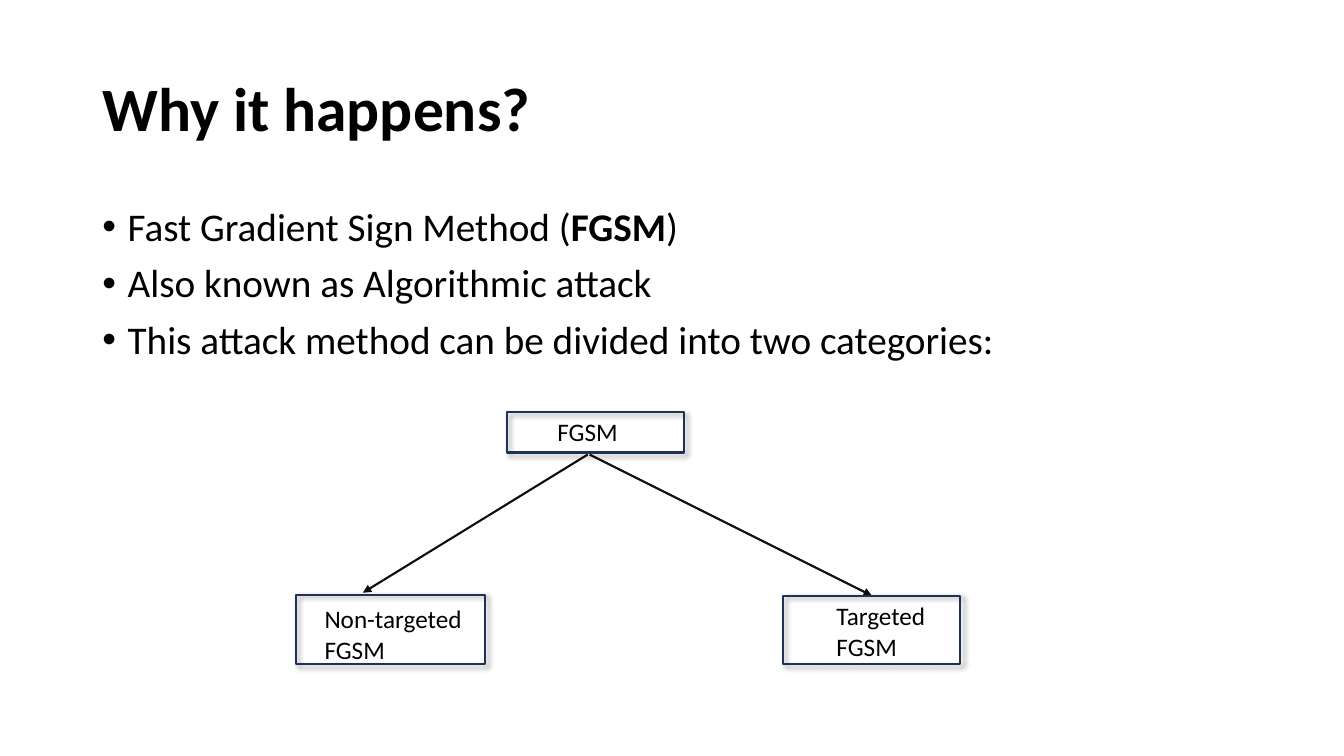
from dataclasses import dataclass

from lxml import etree
from pptx import Presentation
from pptx.dml.color import RGBColor
from pptx.enum.shapes import MSO_CONNECTOR, MSO_SHAPE
from pptx.enum.text import MSO_ANCHOR, MSO_AUTO_SIZE, PP_ALIGN
from pptx.oxml.ns import qn
from pptx.util import Pt

LEFT = PP_ALIGN.LEFT
TOP, MIDDLE = MSO_ANCHOR.TOP, MSO_ANCHOR.MIDDLE
NO_FIT, GROW = MSO_AUTO_SIZE.NONE, MSO_AUTO_SIZE.SHAPE_TO_FIT_TEXT
RECT, STRAIGHT = MSO_SHAPE.RECTANGLE, MSO_CONNECTOR.STRAIGHT


@dataclass(frozen=True)
class Theme:
    font: str = "Calibri"
    ink: RGBColor = RGBColor(0, 0, 0)
    arrow: RGBColor = RGBColor(0x0D, 0x0D, 0x0D)
    frame: RGBColor = RGBColor(0x1E, 0x32, 0x56)
    shade: str = "000000"
    title: int = 44
    body: int = 28
    label: int = 18
    line: float = 1.5


THEME = Theme()

POINTS = [
    [("Fast Gradient Sign Method (", False), ("FGSM", True), (")", False)],
    [("Also known as Algorithmic attack", False)],
    [("This attack method can be divided into two categories:", False)],
]

# Frame box, label text, label offset inside the frame, label width
ROOT = ((362, 294.5, 126.7, 28.8), "FGSM", (29, -0.7), 70)
KINDS = [
    ((211.7, 424.8, 134.6, 49.7), "Non-targeted FGSM", (13, 2.9), 114.5),
    ((559.4, 425.5, 126.7, 49), "Targeted FGSM", (31, 0), 114.5),
]
# Start and end of each arrow
LINKS = [((419.8, 324.7), (259.2, 423.4)), ((421.2, 324.7), (622.8, 425.5))]


def place(shape, box):
    shape.left, shape.top, shape.width, shape.height = map(Pt, box)


def write(para, text, size, bold=False):
    run = para.add_run()
    run.text = text
    font = run.font
    font.name, font.size, font.bold = THEME.font, Pt(size), bold
    font.color.rgb = THEME.ink


def add_title(slide, box):
    title = slide.shapes.title
    place(title, box)
    frame = title.text_frame
    frame.auto_size, frame.vertical_anchor = NO_FIT, MIDDLE
    para = frame.paragraphs[0]
    para.alignment, para.line_spacing = LEFT, 0.9
    write(para, "Why it happens?", THEME.title, True)


def add_list(slide, box):
    body = slide.placeholders[1]
    place(body, box)
    frame = body.text_frame
    frame.auto_size, frame.vertical_anchor = NO_FIT, TOP
    for i, runs in enumerate(POINTS):
        para = frame.add_paragraph() if i else frame.paragraphs[0]
        props = para._p.get_or_add_pPr()
        props.set("marL", str(Pt(18)))
        props.set("indent", str(Pt(-18)))
        etree.SubElement(props, qn("a:buFont"), typeface="Arial")
        etree.SubElement(props, qn("a:buChar"), char="•")
        para.alignment, para.line_spacing = LEFT, 0.9
        para.space_before = Pt(10 if i else 0)
        for text, bold in runs:
            write(para, text, THEME.body, bold)


def add_shade(shape):
    """Give the shape a soft shadow to the lower right."""
    shape.shadow.inherit = False
    effects = shape._element.spPr.find(qn("a:effectLst"))
    outer = etree.SubElement(
        effects, qn("a:outerShdw"), blurRad=str(Pt(4)), dist=str(Pt(3)),
        dir=str(45 * 60000), algn="tl", rotWithShape="0")
    color = etree.SubElement(outer, qn("a:srgbClr"), val=THEME.shade)
    etree.SubElement(color, qn("a:alpha"), val="40000")


def add_node(slide, box, text, shift, width):
    """Draw a label with its shadowed frame."""
    left, top, _, height = box
    label = slide.shapes.add_textbox(0, 0, 0, 0)
    place(label, (left + shift[0], top + shift[1], width, height))
    frame = label.text_frame
    frame.word_wrap, frame.auto_size = True, GROW
    write(frame.paragraphs[0], text, THEME.label)

    edge = slide.shapes.add_shape(RECT, *map(Pt, box))
    edge.fill.background()
    edge.line.color.rgb, edge.line.width = THEME.frame, Pt(THEME.line)
    add_shade(edge)


def add_arrow(slide, start, end):
    arrow = slide.shapes.add_connector(STRAIGHT, *map(Pt, start + end))
    arrow.line.color.rgb, arrow.line.width = THEME.arrow, Pt(THEME.line)
    props = arrow._element.spPr
    etree.SubElement(props.find(qn("a:ln")), qn("a:tailEnd"), type="triangle")
    etree.SubElement(props, qn("a:effectLst"))


def add_tree(slide):
    for start, end in LINKS:
        add_arrow(slide, start, end)
    for node in [ROOT, *KINDS]:
        add_node(slide, *node)


def main():
    deck = Presentation()
    deck.slide_width, deck.slide_height = Pt(960), Pt(540)
    slide = deck.slides.add_slide(deck.slide_layouts[1])
    add_title(slide, (66, 27.4, 828, 104.4))
    add_list(slide, (66, 144.7, 828, 342.7))
    add_tree(slide)
    deck.save("out.pptx")


if __name__ == "__main__":
    main()
